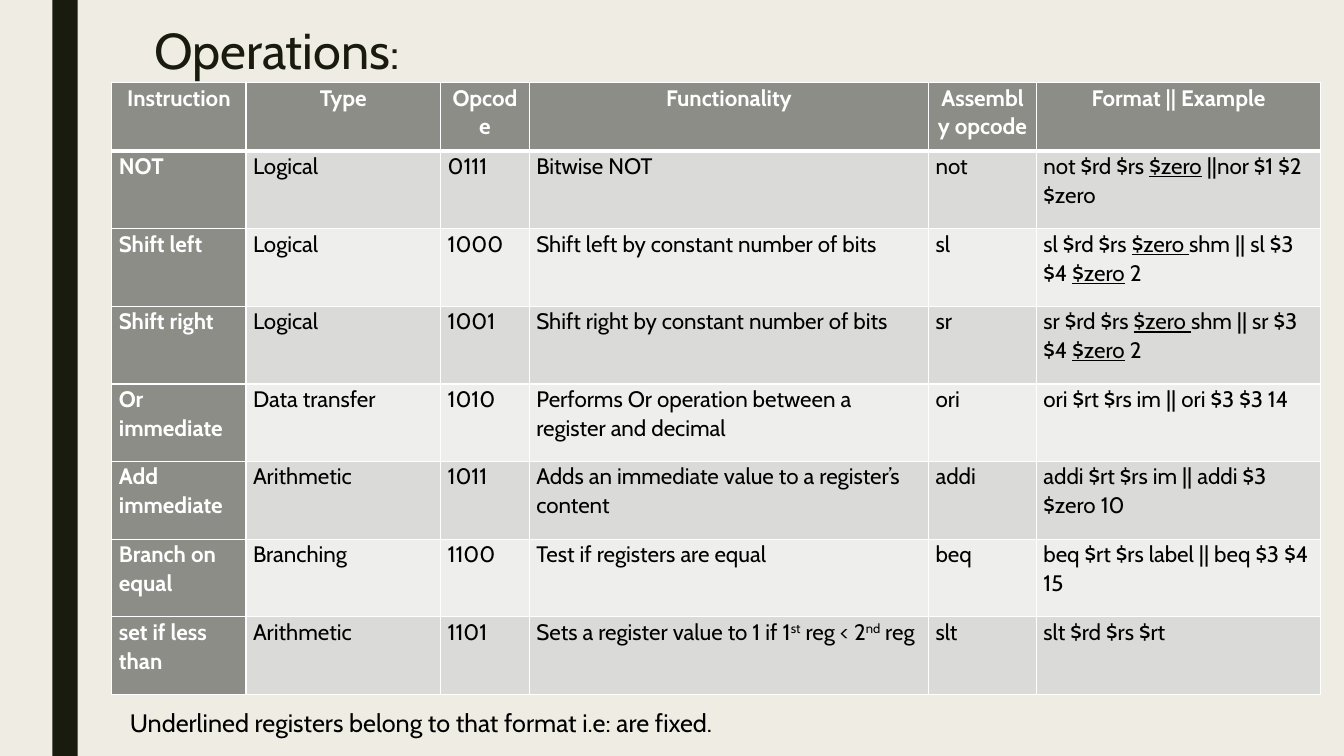
from dataclasses import dataclass

from lxml.etree import SubElement
from pptx import Presentation
from pptx.dml.color import RGBColor as RGB
from pptx.enum.shapes import MSO_SHAPE as SHAPE
from pptx.enum.text import MSO_ANCHOR as ANCHOR, MSO_AUTO_SIZE as AUTO, PP_ALIGN as ALIGN
from pptx.oxml.ns import qn
from pptx.util import Inches, Pt


@dataclass(frozen=True)
class Theme:
    font: str = "Cabin"
    background: str = "EFEDE3"
    dark: str = "191B0E"
    heading: str = "8C8D86"
    bands: tuple = ("DADBD9", "EEEEED")
    white: str = "FFFFFF"
    black: str = "000000"
    title_size: int = 36
    colon_size: int = 32
    table_size: int = 16
    note_size: int = 18


THEME = Theme()
COL_WIDTHS = (1.33, 1.93, 0.88, 3.96, 1.07, 2.82)
HEADER_HEIGHT, ROW_HEIGHT = 0.68, 0.77

# Within a cell, _text_ is underlined and ^text^ is superscript
ROWS = (
    ("Instruction", "Type", "Opcode", "Functionality", "Assembly opcode", "Format || Example"),
    ("NOT", "Logical", "0111", "Bitwise NOT", "not",
     "not $rd $rs _$zero_ ||nor $1 $2 $zero"),
    ("Shift left", "Logical", "1000", "Shift left by constant number of bits", "sl",
     "sl $rd $rs _$zero _shm || sl $3 $4 _$zero_ 2"),
    ("Shift right", "Logical", "1001", "Shift right by constant number of bits", "sr",
     "sr $rd $rs _$zero _shm || sr $3 $4 _$zero_ 2"),
    ("Or immediate", "Data transfer", "1010",
     "Performs Or operation between a register and decimal", "ori",
     "ori $rt $rs im || ori $3 $3 14"),
    ("Add immediate", "Arithmetic", "1011",
     "Adds an immediate value to a register’s content", "addi",
     "addi $rt $rs im || addi $3 $zero 10"),
    ("Branch on equal", "Branching", "1100", "Test if registers are equal", "beq",
     "beq $rt $rs label || beq $3 $4 15"),
    ("set if less than", "Arithmetic", "1101",
     "Sets a register value to 1 if 1^st^ reg < 2^nd^ reg", "slt", "slt $rd $rs $rt"),
)


def add_run(p, text, size, color, bold=False):
    r = p.add_run()
    r.text = text
    r.font.name = THEME.font
    r.font.size = Pt(size)
    r.font.bold = bold
    r.font.color.rgb = RGB.from_string(color)
    return r


def add_marked_runs(p, text, size, color, bold):
    for i, piece in enumerate(text.split("_")):
        for j, part in enumerate(piece.split("^")):
            if part:
                r = add_run(p, part, size, color, bold)
                if i % 2:
                    r.font.underline = True
                if j % 2:
                    r.font._element.set("baseline", "30000")


def add_side_bar(slide):
    sp = slide.shapes.add_shape(SHAPE.RECTANGLE, Inches(0.52), 0, Inches(0.25), Inches(7.5))
    sp.shadow.inherit = False
    sp.fill.solid()
    sp.fill.fore_color.rgb = RGB.from_string(THEME.dark)
    sp.line.fill.background()


def set_title(slide):
    sp = slide.shapes.title
    sp.left, sp.top, sp.width, sp.height = map(Inches, (1.43, 0.21, 10.5, 1.62))
    tf = sp.text_frame
    tf.auto_size = AUTO.NONE
    tf.vertical_anchor = ANCHOR.TOP
    p = tf.paragraphs[0]
    p.alignment = ALIGN.LEFT
    p.line_spacing = 0.89
    add_run(p, "Operations", THEME.title_size, THEME.dark)
    add_run(p, ":", THEME.colon_size, THEME.dark)


def set_borders(cell, top, bottom):
    tc_pr = cell._tc.get_or_add_tcPr()
    for side, width in (("L", 1), ("R", 1), ("T", top), ("B", bottom)):
        ln = SubElement(tc_pr, qn(f"a:ln{side}"), w=str(Pt(width)))
        fill = SubElement(ln, qn("a:solidFill"))
        SubElement(fill, qn("a:srgbClr"), val=THEME.white)


def fill_cell(cell, text, row, col):
    is_heading = row == 0 or col == 0
    set_borders(cell, top=3 if row == 1 else 1, bottom=3 if row == 0 else 1)
    cell.fill.solid()
    cell.fill.fore_color.rgb = RGB.from_string(
        THEME.heading if is_heading else THEME.bands[(row - 1) % 2])
    cell.margin_left = cell.margin_right = Inches(0.07)
    cell.margin_top = cell.margin_bottom = 0
    p = cell.text_frame.paragraphs[0]
    p.alignment = ALIGN.CENTER if row == 0 else ALIGN.LEFT
    p.line_spacing = 1.07
    color = THEME.white if is_heading else THEME.black
    add_marked_runs(p, text, THEME.table_size, color, is_heading)


def add_operations_table(slide):
    height = HEADER_HEIGHT + ROW_HEIGHT * (len(ROWS) - 1)
    table = slide.shapes.add_table(
        len(ROWS), len(COL_WIDTHS), Inches(1.11), Inches(0.82),
        Inches(sum(COL_WIDTHS)), Inches(height)).table
    for column, width in zip(table.columns, COL_WIDTHS):
        column.width = Inches(width)
    for row, texts in enumerate(ROWS):
        table.rows[row].height = Inches(ROW_HEIGHT if row else HEADER_HEIGHT)
        for col, text in enumerate(texts):
            fill_cell(table.cell(row, col), text, row, col)


def add_note(slide, text):
    sp = slide.shapes.add_textbox(Inches(1.19), Inches(6.97), Inches(6.74), Inches(0.4))
    tf = sp.text_frame
    tf.word_wrap = True
    tf.auto_size = AUTO.SHAPE_TO_FIT_TEXT
    add_run(tf.paragraphs[0], text, THEME.note_size, THEME.black)


def main():
    prs = Presentation()
    prs.slide_width, prs.slide_height = Inches(13.33), Inches(7.5)
    slide = prs.slides.add_slide(prs.slide_layouts[5])
    slide.background.fill.solid()
    slide.background.fill.fore_color.rgb = RGB.from_string(THEME.background)

    add_side_bar(slide)
    set_title(slide)
    add_operations_table(slide)
    add_note(slide, "Underlined registers belong to that format i.e: are fixed.")
    prs.save("out.pptx")


if __name__ == "__main__":
    main()
